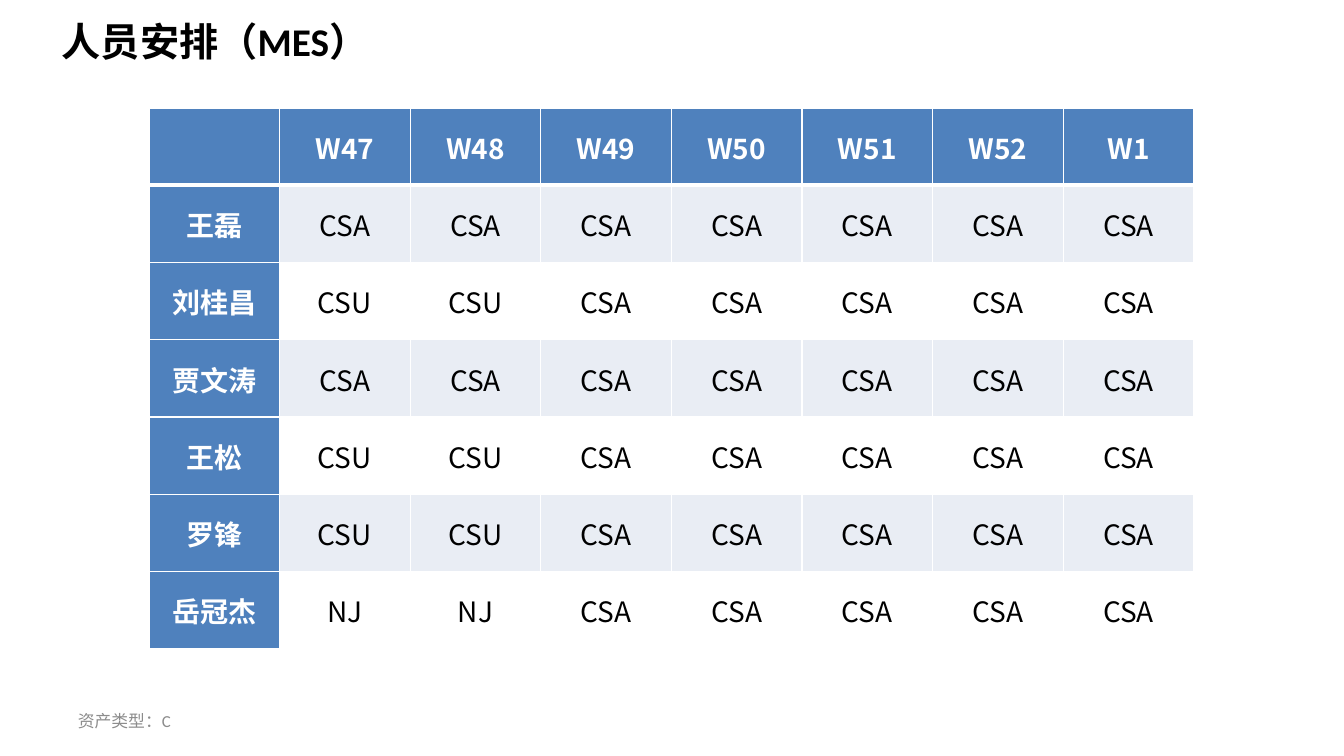
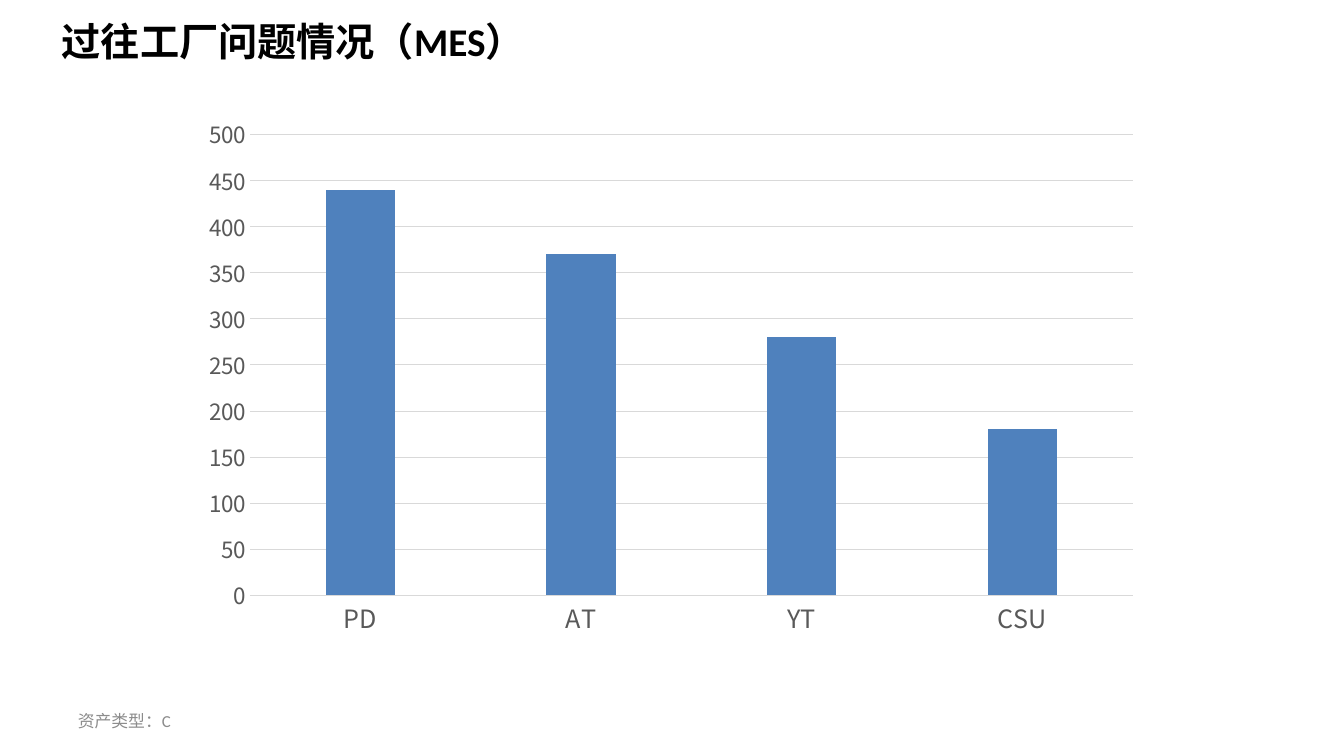
from dataclasses import dataclass

from lxml import etree
from pptx import Presentation
from pptx.chart.data import CategoryChartData
from pptx.dml.color import RGBColor
from pptx.enum.chart import XL_CHART_TYPE, XL_TICK_MARK
from pptx.enum.text import MSO_ANCHOR, MSO_AUTO_SIZE, PP_ALIGN
from pptx.oxml.ns import qn
from pptx.util import Pt

COLUMNS = XL_CHART_TYPE.COLUMN_CLUSTERED
NO_TICK = XL_TICK_MARK.NONE
MIDDLE, TOP = MSO_ANCHOR.MIDDLE, MSO_ANCHOR.TOP
CENTER = PP_ALIGN.CENTER
GROW, FIXED = MSO_AUTO_SIZE.SHAPE_TO_FIT_TEXT, MSO_AUTO_SIZE.NONE

EMU_PER_PX = 914400 / 100.8


@dataclass(frozen=True)
class Theme:
    ink: str = "000000"
    paper: str = "FFFFFF"
    accent: str = "4F81BD"
    band: str = "E9EDF4"
    muted: str = "8C8C8C"
    axis: str = "595959"
    grid: str = "D9D9D9"
    latin: str = "Calibri"
    cjk: str = "Noto Sans CJK SC"
    title_size: int = 28
    table_size: int = 20
    category_size: int = 18
    value_size: int = 16
    footer_size: int = 12
    thin: float = 1
    thick: float = 3
    hairline: float = 0.75


THEME = Theme()

# Regions: left, top, width, height in px
SLIDE_SIZE = (1344, 756)
TITLE_BOX = (52, 12, 1006, 57)
FOOTER_BOX = (68, 701, 313, 40)
ROSTER_BOX = (149, 108, 1045, 541)
CHART_BOX = (190, 108, 962, 539)

FOOTER = "资产类型：C"
WEEKS = ["W47", "W48", "W49", "W50", "W51", "W52", "W1"]
# Site of each person in the first two weeks; everyone is at CSA afterwards
FIRST_SITES = {
    "王磊": "CSA",
    "刘桂昌": "CSU",
    "贾文涛": "CSA",
    "王松": "CSU",
    "罗锋": "CSU",
    "岳冠杰": "NJ",
}
FACTORY_ISSUES = {"PD": 440, "AT": 370, "YT": 280, "CSU": 180}


def px(length):
    return round(length * EMU_PER_PX)


def emu(box):
    return [px(length) for length in box]


def rgb(color):
    return RGBColor.from_string(color)


def style_font(font, size, color, name, bold=False):
    font.size, font.bold, font.name = Pt(size), bold, name
    font.color.rgb = rgb(color)


def style_run(run, size, color, name, bold=False):
    style_font(run.font, size, color, name, bold)
    latin = run.font._element.find(qn("a:latin"))
    east_asian = etree.Element(qn("a:ea"), typeface=THEME.cjk)
    latin.addnext(east_asian)


def add_label(slide, box, text, size, color, bold=False, anchor=TOP, fit=FIXED):
    frame = slide.shapes.add_textbox(*emu(box)).text_frame
    frame.word_wrap, frame.auto_size = True, fit
    frame.vertical_anchor = anchor
    frame.text = text
    style_run(frame.paragraphs[0].runs[0], size, color, THEME.latin, bold)


def add_page(deck, title):
    """Blank slide with the shared title and footer."""
    slide = deck.slides.add_slide(deck.slide_layouts[6])
    add_label(slide, TITLE_BOX, title, THEME.title_size, THEME.ink,
              bold=True, fit=GROW)
    add_label(slide, FOOTER_BOX, FOOTER, THEME.footer_size, THEME.muted,
              anchor=MIDDLE)
    return slide


def set_borders(cell, top, bottom):
    widths = {"a:lnL": THEME.thin, "a:lnR": THEME.thin,
              "a:lnT": top, "a:lnB": bottom}
    properties = cell._tc.get_or_add_tcPr()
    # Border lines come before the fill
    for position, (side, width) in enumerate(widths.items()):
        line = etree.Element(qn(side), w=str(Pt(width)))
        fill = etree.SubElement(line, qn("a:solidFill"))
        etree.SubElement(fill, qn("a:srgbClr"), val=THEME.paper)
        properties.insert(position, line)


def fill_cell(cell, text, row, column):
    is_heading = row == 0 or column == 0
    body_fill = THEME.band if row % 2 else THEME.paper
    cell.fill.solid()
    cell.fill.fore_color.rgb = rgb(THEME.accent if is_heading else body_fill)
    set_borders(cell,
                top=THEME.thick if row == 1 else THEME.thin,
                bottom=THEME.thick if row == 0 else THEME.thin)
    cell.margin_left = cell.margin_right = cell.margin_top = px(1)
    cell.margin_bottom = 0
    cell.vertical_anchor = MIDDLE
    cell.text = text
    paragraph = cell.text_frame.paragraphs[0]
    paragraph.alignment = CENTER
    for run in paragraph.runs:
        style_run(run, THEME.table_size,
                  THEME.paper if is_heading else THEME.ink,
                  THEME.cjk, is_heading)


def add_roster(slide, box):
    """People by week, with equal rows and columns."""
    rows = [["", *WEEKS]]
    for person, site in FIRST_SITES.items():
        rows.append([person] + [site] * 2 + ["CSA"] * (len(WEEKS) - 2))
    roster = slide.shapes.add_table(len(rows), len(rows[0]), *emu(box)).table
    roster.first_row = roster.horz_banding = False
    for column in roster.columns:
        column.width = px(box[2] / len(rows[0]))
    for row in roster.rows:
        row.height = px(box[3] / len(rows))
    for row, texts in enumerate(rows):
        for column, text in enumerate(texts):
            fill_cell(roster.cell(row, column), text, row, column)


def style_axis(axis, size):
    axis.major_tick_mark = axis.minor_tick_mark = NO_TICK
    style_font(axis.tick_labels.font, size, THEME.axis, THEME.cjk)


def style_line(line):
    line.color.rgb = rgb(THEME.grid)
    line.width = Pt(THEME.hairline)


def add_issue_chart(slide, box):
    """Number of issues for each factory."""
    issues = CategoryChartData()
    issues.categories = list(FACTORY_ISSUES)
    issues.add_series("Series 1", list(FACTORY_ISSUES.values()))
    chart = slide.shapes.add_chart(COLUMNS, *emu(box), issues).chart
    chart.has_title = chart.has_legend = False
    style_font(chart.font, 10, THEME.ink, THEME.latin)

    # Columns
    columns = chart.plots[0]
    columns.gap_width, columns.overlap = 219, -27
    columns.vary_by_categories = False
    series_fill = columns.series[0].format.fill
    series_fill.solid()
    series_fill.fore_color.rgb = rgb(THEME.accent)

    # Axes
    factories, counts = chart.category_axis, chart.value_axis
    style_axis(factories, THEME.category_size)
    style_line(factories.format.line)
    style_axis(counts, THEME.value_size)
    counts.minimum_scale, counts.maximum_scale = 0, 500
    counts.major_unit = 50
    counts.format.line.fill.background()
    counts.has_major_gridlines = True
    style_line(counts.major_gridlines.format.line)


def main():
    deck = Presentation()
    deck.slide_width, deck.slide_height = emu(SLIDE_SIZE)
    add_roster(add_page(deck, "人员安排（MES）"), ROSTER_BOX)
    add_issue_chart(add_page(deck, "过往工厂问题情况（MES）"), CHART_BOX)
    deck.save("out.pptx")


if __name__ == "__main__":
    main()
